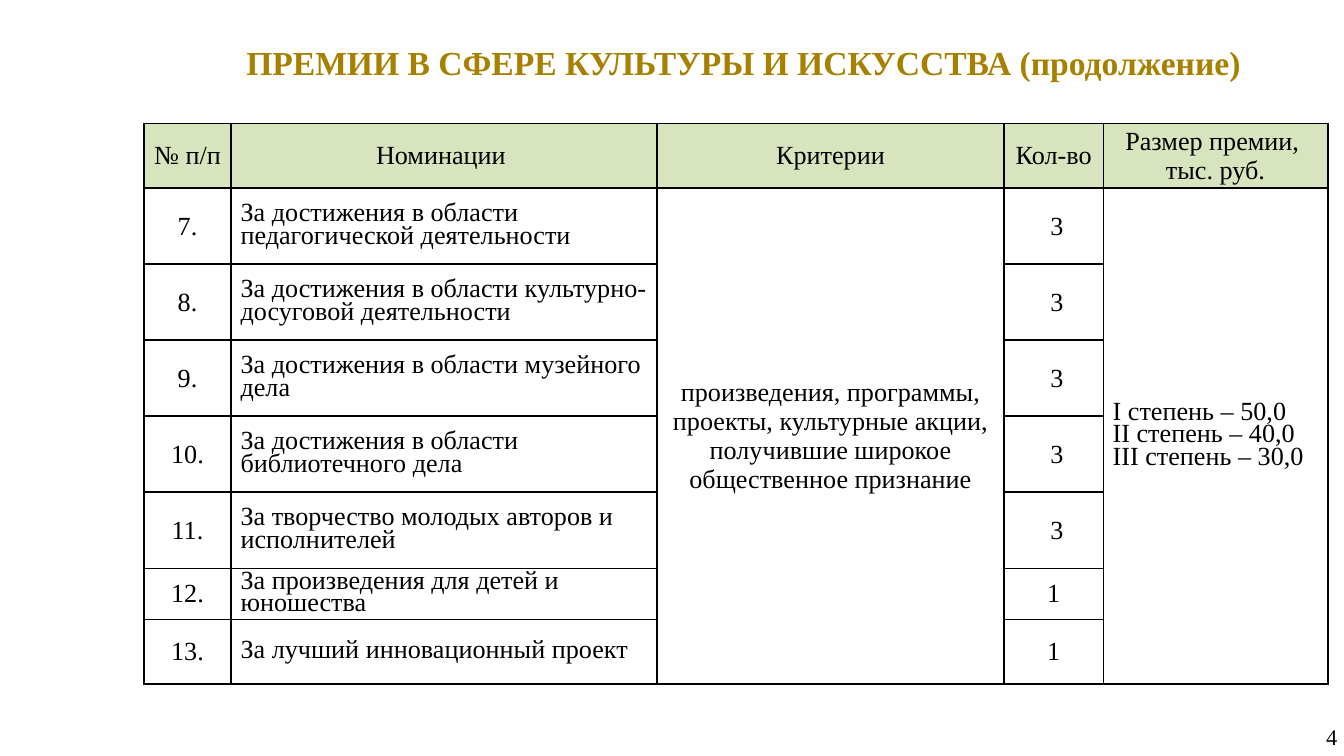
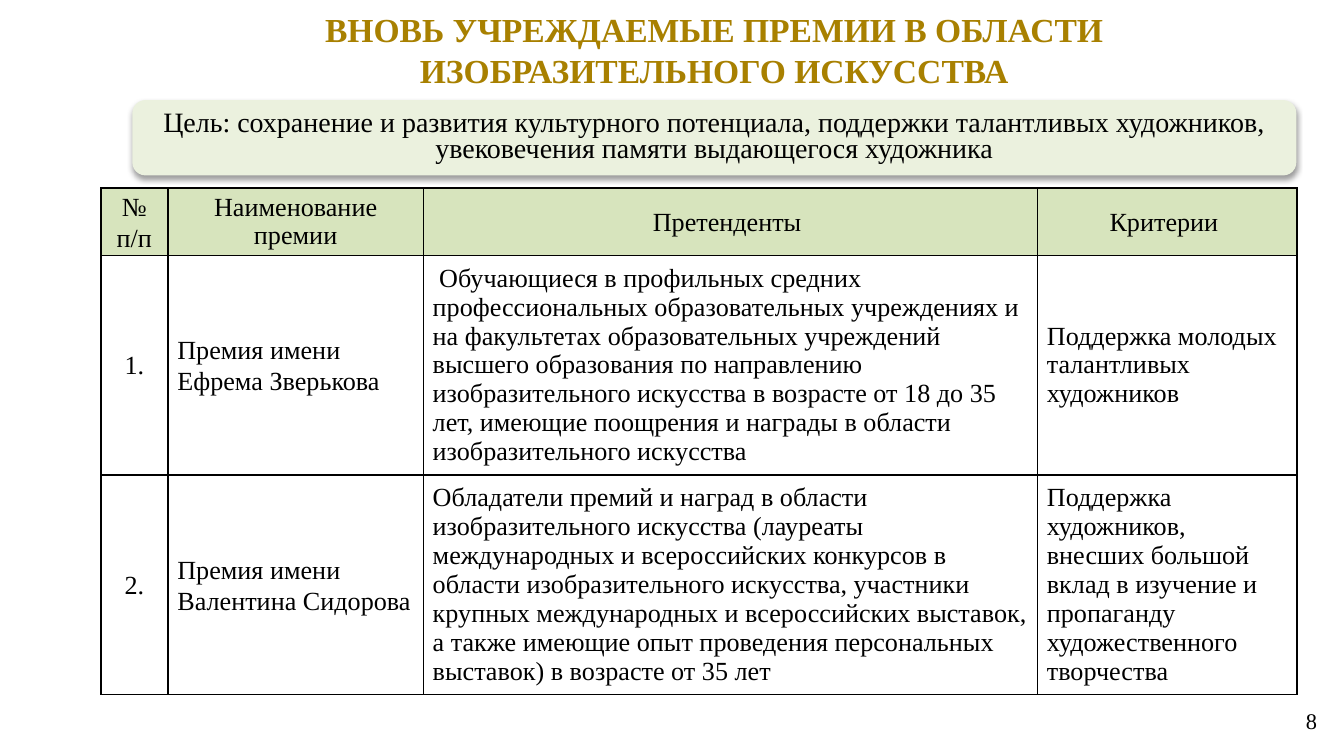
from lxml import etree
from pptx import Presentation
from pptx.dml.color import RGBColor
from pptx.enum import shapes, text
from pptx.oxml import ns
from pptx.util import Inches, Pt

FONT = "Times New Roman"
GOLD = RGBColor(0xA8, 0x80, 0x00)
BLACK = RGBColor(0x00, 0x00, 0x00)
HEAD_GREEN = RGBColor(0xD7, 0xE4, 0xBD)
GOAL_GREEN = RGBColor(0xEB, 0xF1, 0xDE)

CENTER, LEFT, RIGHT, JUSTIFY = (text.PP_ALIGN.CENTER, text.PP_ALIGN.LEFT,
                                text.PP_ALIGN.RIGHT, text.PP_ALIGN.JUSTIFY)
MIDDLE = text.MSO_ANCHOR.MIDDLE

# Paragraph formats
PLAIN = {"alignment": LEFT}
MID = {"alignment": CENTER}
MID_AFTER = {"alignment": CENTER, "space_after": Pt(8)}
TIGHT = {"alignment": LEFT, "line_spacing": 0.78}
TIGHT_MID = {"alignment": CENTER, "line_spacing": 0.78}
DEGREES = {"alignment": JUSTIFY, "line_spacing": 0.78}
LOOSE = {"alignment": LEFT, "line_spacing": 1.07, "space_after": Pt(8)}
LOOSE_MID = {**LOOSE, "alignment": CENTER}
HEAD_MID = {**LOOSE_MID, "line_spacing": 0.97}


def write(tf, lines, para, size, color=BLACK, bold=False):
    """Fill a text frame, one paragraph per line of text."""
    tf.word_wrap = True
    for i, line in enumerate(lines.split("\n")):
        p = tf.paragraphs[0] if i == 0 else tf.add_paragraph()
        for name, value in para.items():
            setattr(p, name, value)
        r = p.add_run()
        r.text = line
        for name, value in {"name": FONT, "size": Pt(size), "bold": bold}.items():
            setattr(r.font, name, value)
        r.font.color.rgb = color


def add_grid(s, box, widths, heights, rows, merged=()):
    """Add a black-ruled table with a green head row; None is a covered cell."""
    tbl = s.shapes.add_table(len(heights), len(widths), *map(Inches, box)).table
    tbl.first_row = tbl.horz_banding = False
    for col, width in zip(tbl.columns, widths):
        col.width = Inches(width)
    for row, height in zip(tbl.rows, heights):
        row.height = Inches(height)
    for i, row in enumerate(rows):
        for j, content in enumerate(row):
            cell = tbl.cell(i, j)
            for name, value in {"margin_left": 0.07, "margin_right": 0.07,
                                "margin_top": 0, "margin_bottom": 0}.items():
                setattr(cell, name, Inches(value))
            cell.vertical_anchor = MIDDLE
            for side in "LRTB":
                ln = etree.SubElement(cell._tc.get_or_add_tcPr(),
                                      ns.qn(f"a:ln{side}"), w=str(Pt(1)))
                fill = etree.SubElement(ln, ns.qn("a:solidFill"))
                etree.SubElement(fill, ns.qn("a:srgbClr"), val=str(BLACK))
            if i == 0:
                cell.fill.solid()
                cell.fill.fore_color.rgb = HEAD_GREEN
            else:
                cell.fill.background()
            if content:
                write(cell.text_frame, *content, 14)
    for j in merged:
        tbl.cell(1, j).merge(tbl.cell(len(heights) - 1, j))


prs = Presentation()
prs.slide_width = Inches(10)
prs.slide_height = prs.slide_width * 9 // 16

# Titles and page numbers
pages = [
    ("ПРЕМИИ В СФЕРЕ КУЛЬТУРЫ И ИСКУССТВА (продолжение) ",
     (1.54, 0.26, 8.05, 0.4), "4", (9.71, 5.33, 0.31, 0.3)),
    ("ВНОВЬ УЧРЕЖДАЕМЫЕ ПРЕМИИ В ОБЛАСТИ ИЗОБРАЗИТЕЛЬНОГО ИСКУССТВА",
     (1.14, 0.02, 8.35, 0.71), "8", (9.61, 5.25, 0.26, 0.22)),
]
slides = []
for title, title_box, number, number_box in pages:
    s = prs.slides.add_slide(prs.slide_layouts[6])
    slides.append(s)
    tf = s.shapes.add_textbox(*map(Inches, title_box)).text_frame
    write(tf, title, MID, 18, GOLD, True)
    tf.auto_size = text.MSO_AUTO_SIZE.SHAPE_TO_FIT_TEXT
    tf = s.shapes.add_textbox(*map(Inches, number_box)).text_frame
    for name, value in {"margin_left": 0.07, "margin_right": 0.07,
                        "margin_top": 0.04, "margin_bottom": 0.04}.items():
        setattr(tf, name, Inches(value))
    tf.vertical_anchor = MIDDLE
    write(tf, number, {"alignment": RIGHT}, 12)
awards, new_awards = slides

# Slide 1: nominations
nominations = [
    ("За достижения в области педагогической деятельности", " 3"),
    ("За достижения в области культурно-досуговой деятельности", " 3"),
    ("За достижения в области музейного дела", " 3"),
    ("За достижения в области библиотечного дела", " 3"),
    ("За творчество молодых авторов и исполнителей", " 3"),
    ("За произведения для детей и юношества", "1"),
    ("За лучший инновационный проект", "1"),
]
rows = [[(head, MID_AFTER) for head in ("№ п/п", "Номинации ", "Критерии", "Кол-во")]
        + [("Размер премии, \nтыс. руб.", MID)]]
for n, (nomination, count) in enumerate(nominations, 7):
    rows.append([(f"{n}.", MID_AFTER if n < 12 else MID), (nomination, TIGHT), None,
                 (count, MID_AFTER if n < 13 else MID), None])
rows[1][2] = ("произведения, программы, проекты, культурные акции, "
              "получившие широкое общественное признание", MID)
rows[1][4] = ("I степень – 50,0\nII степень – 40,0 \nIII степень – 30,0 ", DEGREES)
row_height = (4.17 - 0.48 - 0.38 - 0.48) / 5
add_grid(awards, (1.07, 0.92, 8.81, 4.17), [0.65, 3.17, 2.58, 0.74, 1.67],
         [0.48] + [row_height] * 5 + [0.38, 0.48], rows, merged=(2, 4))

# Slide 2: new awards
prizes = [
    ("Премия имени Ефрема Зверькова",
     " Обучающиеся в профильных средних профессиональных образовательных учреждениях "
     "и на факультетах образовательных учреждений высшего образования по направлению "
     "изобразительного искусства в возрасте от 18 до 35 лет, имеющие поощрения и "
     "награды в области изобразительного искусства",
     "Поддержка молодых талантливых художников"),
    ("Премия имени Валентина Сидорова",
     "Обладатели премий и наград в области изобразительного искусства (лауреаты "
     "международных и всероссийских конкурсов в области изобразительного искусства, "
     "участники крупных международных и всероссийских выставок, а также имеющие опыт "
     "проведения персональных выставок) в возрасте от 35 лет",
     "Поддержка художников, внесших большой вклад в изучение и пропаганду "
     "художественного творчества"),
]
rows = [[("№ п/п", LOOSE_MID), ("Наименование премии", HEAD_MID),
         ("Претенденты ", LOOSE_MID), ("Критерии ", LOOSE_MID)]]
for n, (prize, applicants, criteria) in enumerate(prizes, 1):
    rows.append([(f"{n}.", LOOSE_MID), (prize, LOOSE),
                 (applicants, PLAIN), (criteria, PLAIN)])
add_grid(new_awards, (0.75, 1.4, 8.9, 3.75), [0.5, 1.9, 4.57, 1.93],
         [0.45, 1.57, 1.61], rows)

# Slide 2: goal band
goal = new_awards.shapes.add_shape(shapes.MSO_SHAPE.ROUNDED_RECTANGLE,
                                   *map(Inches, (0.99, 0.75, 8.65, 0.55)))
goal.fill.solid()
goal.fill.fore_color.rgb = GOAL_GREEN
goal.line.color.rgb = GOAL_GREEN
goal.line.width = Pt(0.75)
goal.shadow.inherit = False
effects = goal._element.spPr.find(ns.qn("a:effectLst"))
shadow = etree.SubElement(effects, ns.qn("a:outerShdw"), blurRad=str(Pt(3.1)),
                          dist=str(Pt(1.6)), dir="5400000", rotWithShape="0")
shade = etree.SubElement(shadow, ns.qn("a:srgbClr"), val=str(BLACK))
etree.SubElement(shade, ns.qn("a:alpha"), val="38000")
goal.text_frame.vertical_anchor = MIDDLE
write(goal.text_frame, "Цель: сохранение и развития культурного потенциала, поддержки "
      "талантливых художников, увековечения памяти выдающегося художника", TIGHT_MID, 15)
goal.text_frame.auto_size = text.MSO_AUTO_SIZE.SHAPE_TO_FIT_TEXT

prs.save("out.pptx")
